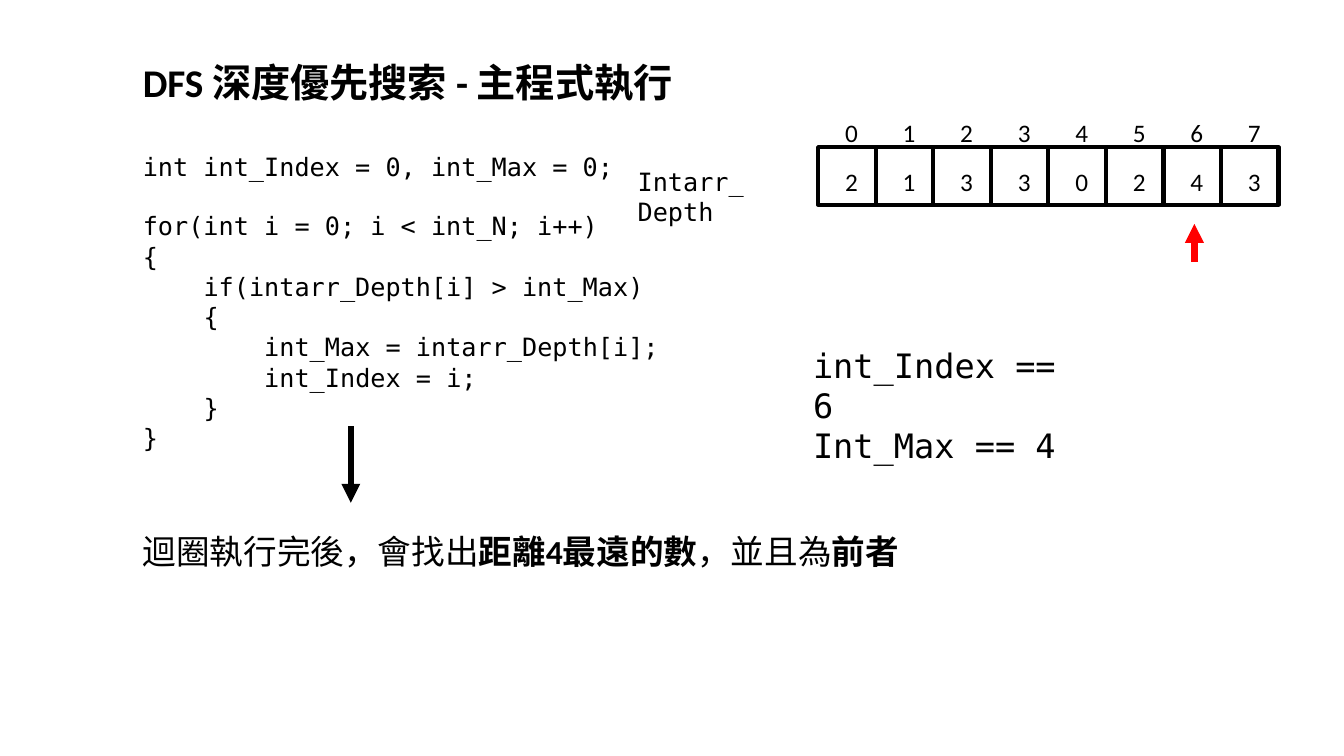
import pptx
import pptx.dml.color
import pptx.enum.shapes
import pptx.enum.text
import pptx.oxml
import pptx.oxml.ns
import pptx.util

Cm = pptx.util.Cm
Pt = pptx.util.Pt
BLACK = pptx.dml.color.RGBColor(0x00, 0x00, 0x00)
RED = pptx.dml.color.RGBColor(0xFF, 0x00, 0x00)
SANS = "Calibri"
MONO = "DejaVu Sans Mono"

LEFT = 3.35
CELL = 1.45
ARRAY_LEFT, ARRAY_TOP = 20.62, 3.71
DIGIT_INSET = 0.43
CODE_INDENT = 1.53
CODE_LINE = 21
DEPTHS = [2, 1, 3, 3, 0, 2, 4, 3]

# Each entry: indent level, blank lines above, statement
CODE = [
    (0, 0, "int int_Index = 0, int_Max = 0;"),
    (0, 1, "for(int i = 0; i < int_N; i++)"),
    (0, 0, "{"),
    (1, 0, "if(intarr_Depth[i] > int_Max)"),
    (1, 0, "{"),
    (2, 0, "int_Max = intarr_Depth[i];"),
    (2, 0, "int_Index = i;"),
    (1, 0, "}"),
    (0, 0, "}"),
]
CONCLUSION = [
    ("迴圈執行完後，會找出", False),
    ("距離4最遠的數", True),
    ("，並且為", False),
    ("前者", True),
]


class SlideBuilder:
    """Hold the shared style and draw elements on the current slide."""

    def __init__(self, page, color=BLACK):
        self.page = page
        self.color = color

    def text(self, left, top, width, height, lines, size, font=SANS, bold=None):
        """Add a text box; each line is a list of (words, bold) spans."""
        box = self.page.shapes.add_textbox(Cm(left), Cm(top), Cm(width), Cm(height))
        frame = box.text_frame
        frame.word_wrap = True
        frame.auto_size = pptx.enum.text.MSO_AUTO_SIZE.SHAPE_TO_FIT_TEXT
        for number, spans in enumerate(lines):
            para = frame.add_paragraph() if number else frame.paragraphs[0]
            para.font.name = font
            para.font.size = Pt(size)
            para.font.bold = bold
            para.font.color.rgb = self.color
            for words, strong in spans:
                span = para.add_run()
                span.text = words
                span.font.bold = strong
        return box

    def code(self, left, top, width, height, statements, size):
        """Add a code listing indented by level."""
        lines = [[(words, None)] for _, _, words in statements]
        box = self.text(left, top, width, height, lines, size, MONO)
        for para, (level, gap, _) in zip(box.text_frame.paragraphs, statements):
            para.space_before = Pt(gap * CODE_LINE)
            para._p.get_or_add_pPr().set("marL", str(Cm(level * CODE_INDENT)))

    def cell(self, left, top, side):
        """Add an unfilled square array cell."""
        shape = self.page.shapes.add_shape(
            pptx.enum.shapes.MSO_SHAPE.RECTANGLE, Cm(left), Cm(top), Cm(side), Cm(side))
        shape.shadow.inherit = False
        shape.fill.background()
        shape.line.color.rgb = self.color
        shape.line.width = Pt(3)

    def arrow(self, x, start, end, color):
        """Add a thick vertical arrow pointing at end."""
        arrow = self.page.shapes.add_connector(
            pptx.enum.shapes.MSO_CONNECTOR.STRAIGHT, Cm(x), Cm(start), Cm(x), Cm(end))
        arrow.line.color.rgb = color
        arrow.line.width = Pt(4.5)
        namespace = pptx.oxml.ns.nsdecls("a")
        arrow.line._get_or_add_ln().append(
            pptx.oxml.parse_xml(f'<a:tailEnd {namespace} type="triangle"/>'))
        arrow._element.spPr.append(pptx.oxml.parse_xml(f"<a:effectLst {namespace}/>"))


def draw_array(builder, values):
    """Draw the depth array with its label, indices and values."""
    for index in range(len(values)):
        builder.cell(ARRAY_LEFT + index * CELL, ARRAY_TOP, CELL)
    builder.text(15.82, 4.06, 3.38, 0.74, [[("Intarr_Depth", None)]], 18, MONO)
    for index, value in enumerate(values):
        left = ARRAY_LEFT + index * CELL + DIGIT_INSET
        for top, digit in ((2.82, index), (4.06, value)):
            builder.text(left, top, 0.84, 1.02, [[(str(digit), None)]], 18)


def main():
    """Build and save the deck."""
    deck = pptx.Presentation()
    deck.slide_width, deck.slide_height = Cm(33.87), Cm(19.05)
    builder = SlideBuilder(deck.slides.add_slide(deck.slide_layouts[6]))

    builder.text(LEFT, 1.35, 14.02, 1.45,
                 [[("DFS 深度優先搜索 - 主程式執行", None)]], 28, bold=True)
    builder.code(LEFT, 3.68, 16.94, 7.95, CODE, 18)
    builder.arrow(8.84, 10.74, 12.67, BLACK)
    builder.text(LEFT, 13.26, 19.76, 1.27, [CONCLUSION], 24)
    builder.arrow(30.1, 6.6, 5.64, RED)
    builder.text(20.24, 8.56, 7.11, 2.31,
                 [[("int_Index == 6", None)], [("Int_Max == 4", None)]], 24, MONO)
    draw_array(builder, DEPTHS)

    deck.save("out.pptx")


main()
